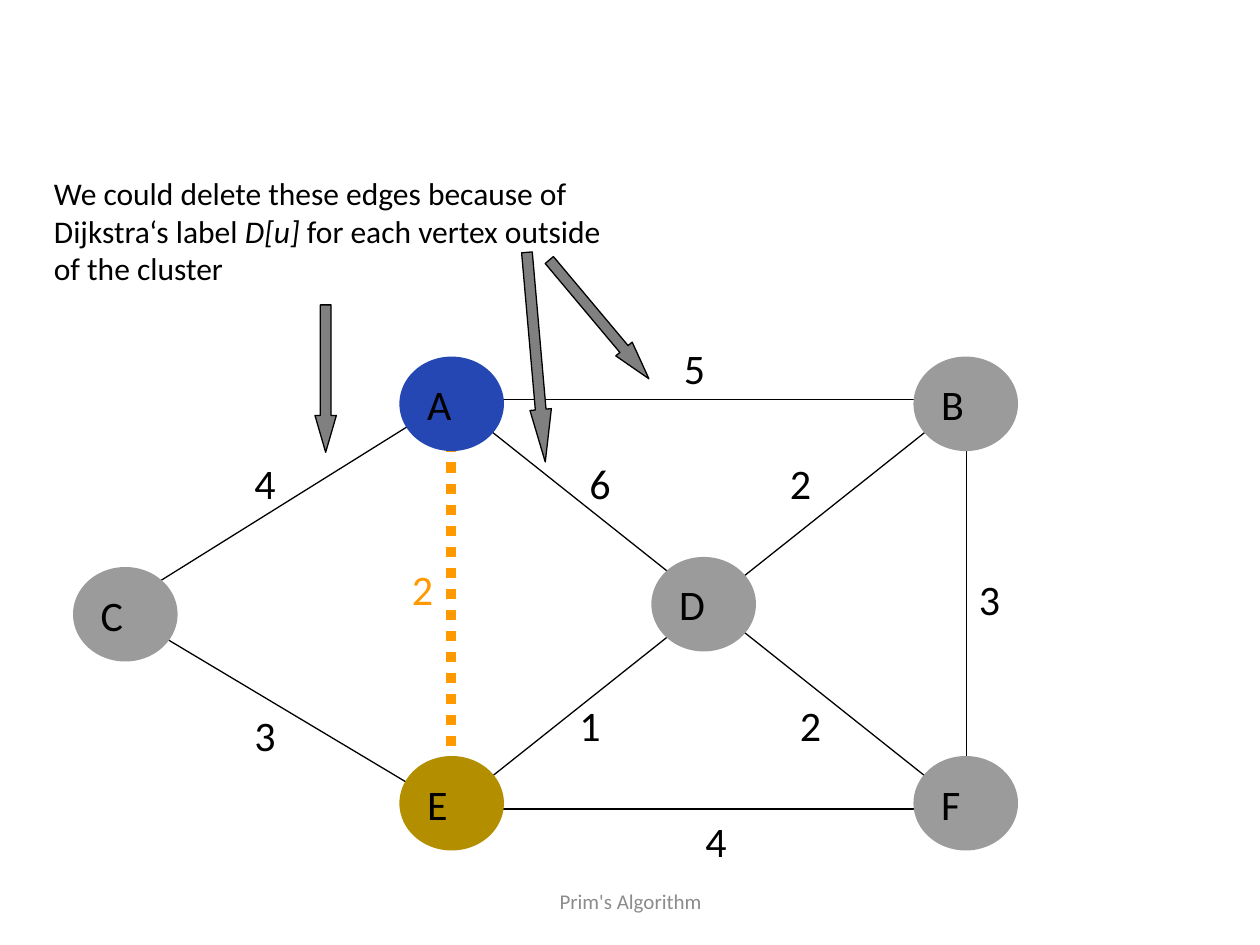
from dataclasses import dataclass

from lxml.etree import SubElement
from pptx import Presentation
from pptx.dml.color import RGBColor
from pptx.enum.dml import MSO_LINE
from pptx.enum.shapes import MSO_CONNECTOR, MSO_SHAPE
from pptx.enum.text import MSO_ANCHOR, PP_ALIGN
from pptx.oxml.ns import qn
from pptx.slide import Slide
from pptx.util import Inches, Pt

BLACK, GREY, ARROW_GREY = "000000", "9B9B9B", "808080"
BLUE, GOLD, ORANGE, FOOTER_GREY = "2447B3", "B38F00", "FF9900", "8C8C8C"

LEFT, RIGHT, TOP, BOTTOM = 3.58, 7.67, 3.17, 6.42
JOINTS = {
    "A": (LEFT, TOP),
    "B": (RIGHT, TOP),
    "C": (0.92, 4.83),
    "D west": (5.58, 4.83),
    "D east": (5.67, 4.83),
    "E": (LEFT, BOTTOM),
    "F": (RIGHT, BOTTOM),
}
EDGES = [
    ("E", "F"), ("F", "B"), ("B", "A"), ("D east", "F"), ("A", "D east"),
    ("D west", "E"), ("D west", "B"), ("C", "A"), ("C", "E"),
]
VERTICES = [
    ("C", 0.58, 4.5, GREY), ("F", 7.25, 6, GREY), ("E", 3.17, 6, GOLD),
    ("A", 3.17, 2.83, BLUE), ("B", 7.25, 2.83, GREY), ("D", 5.17, 4.42, GREY),
]
WEIGHTS = [
    ("5", 5.33, 2.67, BLACK), ("6", 4.58, 3.58, BLACK), ("4", 1.92, 3.58, BLACK),
    ("3", 1.92, 5.58, BLACK), ("4", 5.5, 6.42, BLACK), ("2", 3.17, 4.42, ORANGE),
    ("1", 4.5, 5.5, BLACK), ("2", 6.25, 5.5, BLACK), ("3", 7.67, 4.5, BLACK),
    ("2", 6.17, 3.58, BLACK),
]
ARROWS = [(2.5, 2.42, 1.17, 0), (4.67, 1.92, 1.23, 320), (4.17, 2, 1.67, 355)]


def color(value):
    return RGBColor.from_string(value)


@dataclass
class GraphPage:
    """Draws the parts of a weighted graph on one slide."""

    page: Slide
    font: str = "Calibri"
    size: int = 24

    def style(self, span, size, ink):
        span.font.name = self.font
        span.font.size = Pt(size)
        span.font.color.rgb = color(ink)

    def edge(self, start, end, ink=BLACK, width=0.75, dash=None):
        ends = [Inches(value) for value in (*JOINTS[start], *JOINTS[end])]
        line = self.page.shapes.add_connector(MSO_CONNECTOR.STRAIGHT, *ends)
        line.line.color.rgb = color(ink)
        line.line.width = Pt(width)
        if dash:
            line.line.dash_style = dash
        SubElement(line._element.spPr, qn("a:effectLst"))

    def vertex(self, name, left, top, fill):
        disc = self.page.shapes.add_shape(
            MSO_SHAPE.OVAL, Inches(left), Inches(top), Inches(0.83), Inches(0.75))
        disc.shadow.inherit = False
        disc.fill.solid()
        disc.fill.fore_color.rgb = color(fill)
        disc.line.fill.background()
        frame = disc.text_frame
        frame.text = name
        frame.vertical_anchor = MSO_ANCHOR.MIDDLE
        para = frame.paragraphs[0]
        para.alignment = PP_ALIGN.LEFT
        self.style(para.runs[0], self.size, BLACK)

    def text(self, pieces, left, top, width, height, size, ink):
        box = self.page.shapes.add_textbox(
            Inches(left), Inches(top), Inches(width), Inches(height))
        box.text_frame.word_wrap = True
        para = box.text_frame.paragraphs[0]
        for piece in pieces:
            span = para.add_run()
            span.text = piece
            self.style(span, size, ink)
        return box.text_frame

    def weight(self, value, left, top, ink):
        self.text([value], left, top, 0.5, 0.5, self.size, ink)

    def arrow(self, left, top, height, rotation):
        width = 0.17
        arrow = self.page.shapes.add_shape(
            MSO_SHAPE.DOWN_ARROW, Inches(left), Inches(top), Inches(width), Inches(height))
        arrow.shadow.inherit = False
        arrow.rotation = rotation
        arrow.adjustments[0] = 0.5
        arrow.adjustments[1] = height / width / 4
        arrow.fill.solid()
        arrow.fill.fore_color.rgb = color(ARROW_GREY)
        arrow.line.color.rgb = color(BLACK)
        arrow.line.width = Pt(0.75)


def main():
    deck = Presentation()
    deck.slide_width, deck.slide_height = Inches(10), Inches(7.5)
    graph = GraphPage(deck.slides.add_slide(deck.slide_layouts[6]))

    footer = graph.text(["Prim's Algorithm"], 3.42, 6.95, 3.17, 0.4, 12, FOOTER_GREY)
    footer.vertical_anchor = MSO_ANCHOR.MIDDLE
    footer.paragraphs[0].alignment = PP_ALIGN.CENTER

    for start, end in EDGES:
        graph.edge(start, end)
    graph.edge("A", "E", ORANGE, 6, MSO_LINE.ROUND_DOT)
    for vertex in VERTICES:
        graph.vertex(*vertex)
    for weight in WEIGHTS:
        graph.weight(*weight)

    remark = graph.text(
        ["We could delete these edges because of Dijkstra‘s label ", "D[u]",
         " for each vertex outside of the cluster"],
        0.33, 1.33, 4.73, 1.1, 18, BLACK)
    remark.paragraphs[0].runs[1].font.italic = True
    for arrow in ARROWS:
        graph.arrow(*arrow)
    deck.save("out.pptx")


if __name__ == "__main__":
    main()
